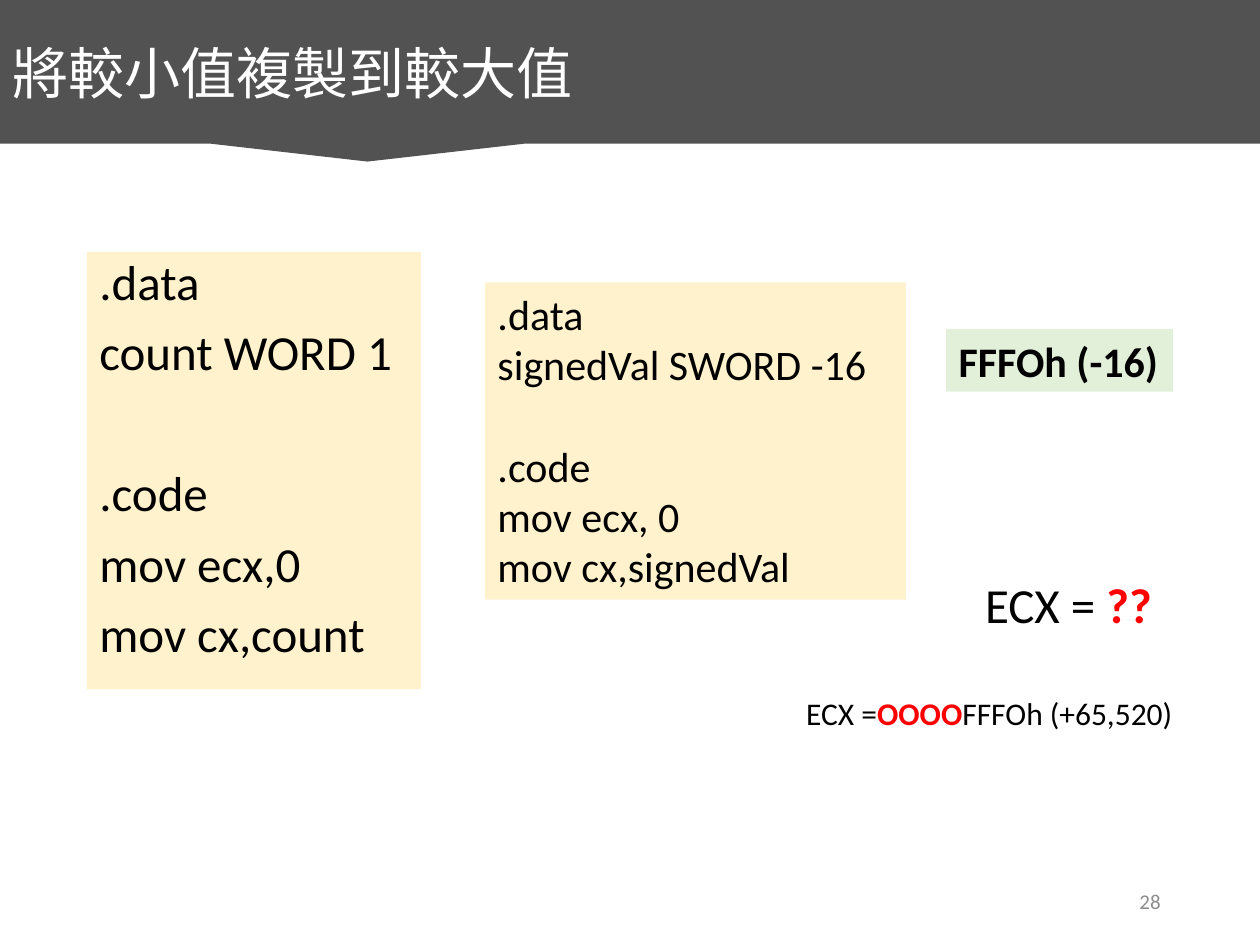
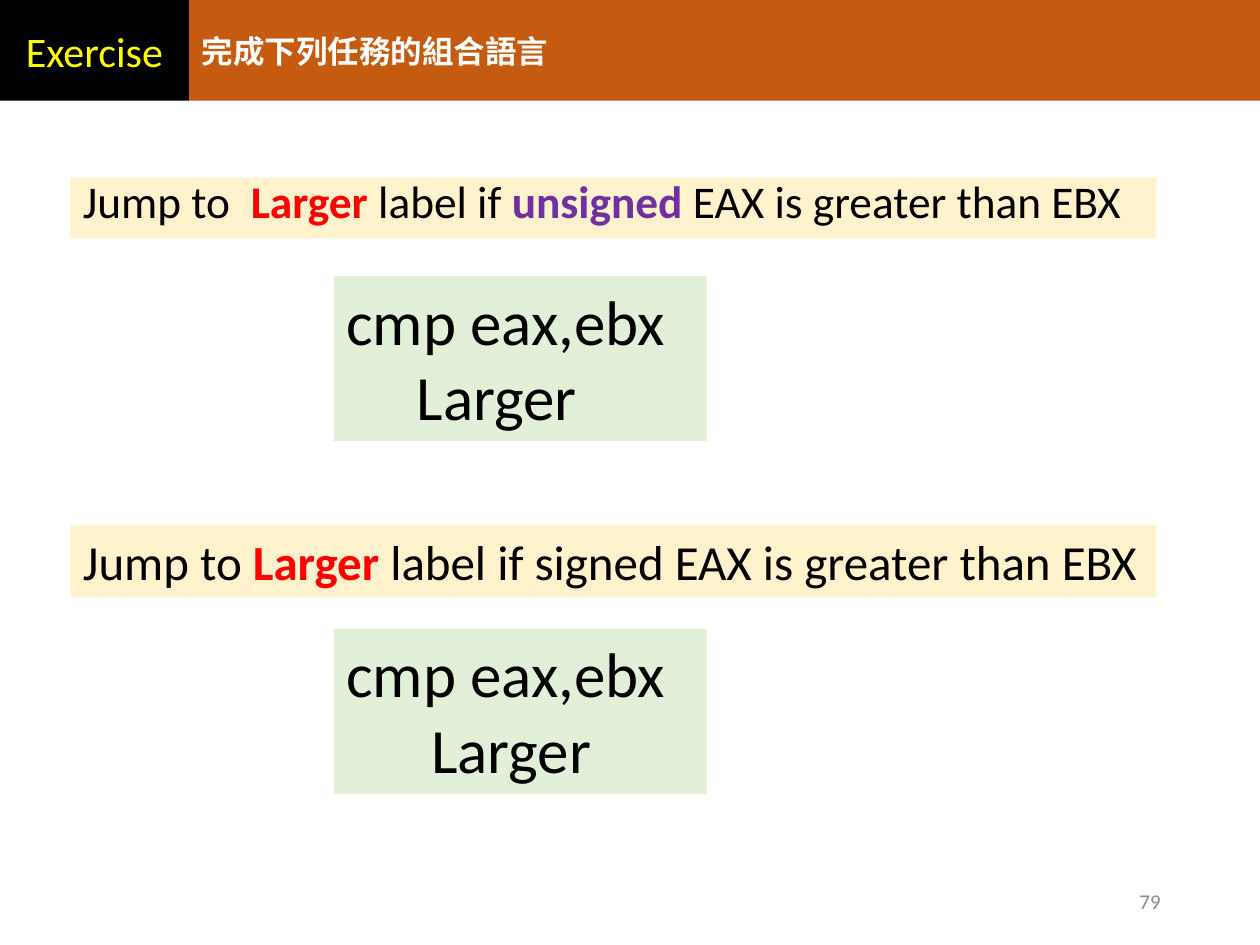
"""Build two assembly-language slides: copying values and a jump exercise."""
from lxml import etree
from pptx import Presentation
from pptx.dml.color import RGBColor
from pptx.enum.shapes import MSO_SHAPE
from pptx.enum.text import MSO_ANCHOR, MSO_AUTO_SIZE, PP_ALIGN
from pptx.oxml.ns import qn
from pptx.util import Inches, Pt

RECT, CALLOUT = MSO_SHAPE.RECTANGLE, MSO_SHAPE.RECTANGULAR_CALLOUT
MIDDLE = MSO_ANCHOR.MIDDLE
LEFT, CENTER, RIGHT = PP_ALIGN.LEFT, PP_ALIGN.CENTER, PP_ALIGN.RIGHT
NO_FIT = MSO_AUTO_SIZE.NONE

FONT = "Calibri"
TITLE_ONLY = 5
BLACK = RGBColor(0x00, 0x00, 0x00)
WHITE = RGBColor(0xFF, 0xFF, 0xFF)
RED = RGBColor(0xFF, 0x00, 0x00)
YELLOW = RGBColor(0xFF, 0xFF, 0x00)
PURPLE = RGBColor(0x70, 0x30, 0xA0)
GREY = RGBColor(0x8C, 0x8C, 0x8C)
CHARCOAL = RGBColor(0x52, 0x52, 0x52)
ORANGE = RGBColor(0xC5, 0x5A, 0x11)
CREAM = RGBColor(0xFF, 0xF2, 0xCC)
MINT = RGBColor(0xE2, 0xF0, 0xD9)


def add_run(p, text, size, color=BLACK, bold=False, underline=False):
    """Add one formatted run to a paragraph."""
    r = p.add_run()
    r.text = text
    r.font.name = FONT
    r.font.size = Pt(size)
    r.font.color.rgb = color
    r.font.bold = bold
    r.font.underline = underline


def add_box(s, at, lines, size, fill=None, wrap=True):
    """Add a text box whose lines are lists of (text, colour, bold, underline)."""
    sp = s.shapes.add_textbox(*map(Inches, at))
    if fill is not None:
        sp.fill.solid()
        sp.fill.fore_color.rgb = fill
    tf = sp.text_frame
    tf.word_wrap = wrap
    for i, runs in enumerate(lines):
        p = tf.add_paragraph() if i else tf.paragraphs[0]
        for run in runs:
            add_run(p, run[0], size, *run[1:])
    return tf


def add_listing(s, at, sections, size, pitch, line_spacing=None, before=0):
    """Add a code panel with one line of space between its sections."""
    lines = [[(line,)] for section in sections for line in section]
    tf = add_box(s, at, lines, size, CREAM)
    starts = [section[0] for section in sections]
    for i, p in enumerate(tf.paragraphs):
        p.line_spacing = line_spacing
        if i:
            p.space_before = Pt(before + (pitch if p.text in starts else 0))


def add_answer(s, top, label, bold):
    """Add a compare-and-jump panel with an underlined blank for the jump."""
    lines = [[("cmp eax,ebx",)], [("\t", RED, bold, True), (label,)]]
    tf = add_box(s, (2.65, top, 2.96, 1.31), lines, 36, MINT)
    pPr = tf.paragraphs[1]._p.get_or_add_pPr()
    tabs = etree.SubElement(pPr, qn("a:tabLst"))
    etree.SubElement(tabs, qn("a:tab"), pos=str(Inches(0.56)), algn="l")


def add_band(s, shape, at, fill):
    """Add a plain coloured band."""
    sp = s.shapes.add_shape(shape, *map(Inches, at))
    sp.shadow.inherit = False
    sp.fill.solid()
    sp.fill.fore_color.rgb = fill
    sp.line.fill.background()
    return sp


def add_titled_slide(prs, title, at, size, shape, fill, page, bold=False):
    """Add a slide with its title on a band and its page number."""
    s = prs.slides.add_slide(prs.slide_layouts[TITLE_ONLY])
    sp = s.shapes.title
    sp.left, sp.top, sp.width, sp.height = map(Inches, at)
    sp._element.addprevious(add_band(s, shape, at, fill)._element)
    tf = sp.text_frame
    tf.auto_size = NO_FIT
    tf.vertical_anchor = MIDDLE
    tf.paragraphs[0].alignment = LEFT
    add_run(tf.paragraphs[0], title, size, WHITE, bold)
    tf = add_box(s, (7.06, 6.95, 2.25, 0.4), [[(page, GREY)]], 12)
    tf.vertical_anchor = MIDDLE
    tf.paragraphs[0].alignment = RIGHT
    return s


def build_copy_slide(prs):
    """Build the slide on copying a smaller value to a larger one."""
    s = add_titled_slide(prs, "將較小值複製到較大值", (0, 0, 10, 1.14), 32,
                         CALLOUT, CHARCOAL, "28")
    add_listing(s, (0.69, 2, 2.65, 3.47),
                [[".data", "count WORD 1"],
                 [".code", "mov ecx,0", "mov cx,count"]],
                28, pitch=40.3, line_spacing=0.9, before=10)
    add_listing(s, (3.85, 2.24, 3.34, 2.52),
                [[".data", "signedVal SWORD -16"],
                 [".code", "mov ecx, 0", "mov cx,signedVal"]],
                24, pitch=29)
    add_box(s, (7.51, 2.61, 1.8, 0.5), [[("FFFOh (-16)", BLACK, True)]],
            24, MINT, wrap=False)
    add_box(s, (6.3, 5.46, 3.13, 0.4),
            [[("ECX =",), ("OOOO", RED, True), ("FFFOh (+65,520)",)]],
            18, wrap=False)
    add_box(s, (7.72, 4.51, 1.54, 0.57),
            [[("ECX = ",), ("??", RED, True)]], 28, wrap=False)


def build_exercise_slide(prs):
    """Build the exercise on unsigned and signed jumps."""
    s = add_titled_slide(prs, "完成下列任務的組合語言", (1.5, 0, 8.5, 0.8), 18,
                         RECT, ORANGE, "79", bold=True)
    tf = add_band(s, RECT, (0, 0, 1.5, 0.8), BLACK).text_frame
    tf.vertical_anchor = MIDDLE
    tf.paragraphs[0].alignment = CENTER
    add_run(tf.paragraphs[0], "Exercise", 24, YELLOW)

    target = ("Larger ", RED, True)
    tf = add_box(s, (0.56, 1.41, 8.62, 0.48),
                 [[("Jump to  ",), target, ("label if ",),
                   ("unsigned", PURPLE, True),
                   (" EAX is greater than EBX",)]], 25.9, CREAM)
    tf.paragraphs[0].line_spacing = 0.8
    add_answer(s, 2.19, "Larger", bold=False)
    add_box(s, (0.56, 4.17, 8.62, 0.57),
            [[("Jump to ",), target,
              ("label if signed EAX is greater than EBX",)]], 28, CREAM)
    add_answer(s, 4.99, " Larger", bold=True)


def main():
    """Build and save the presentation."""
    prs = Presentation()
    prs.slide_width, prs.slide_height = Inches(10), Inches(7.5)
    build_copy_slide(prs)
    build_exercise_slide(prs)
    prs.save("out.pptx")


if __name__ == "__main__":
    main()
